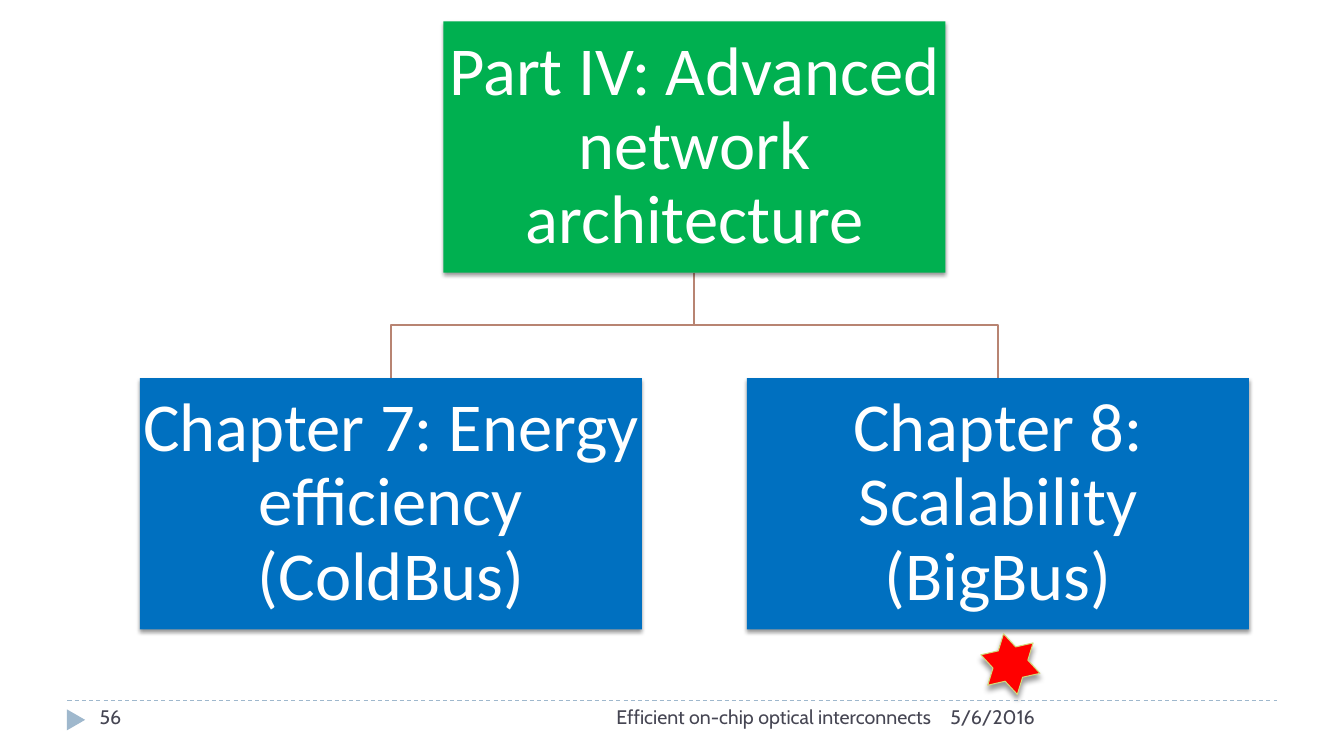
from dataclasses import dataclass

from lxml import etree
from pptx import Presentation
from pptx import util as u
from pptx.dml.color import RGBColor
from pptx.enum import dml, shapes, text
from pptx.oxml import ns
from pptx.shapes.autoshape import Shape
from pptx.slide import Slide


@dataclass(frozen=True)
class Theme:
    root_fill: str = "00B050"
    chapter_fill: str = "0070C0"
    branch: str = "B88472"
    accent: str = "9FB8CD"
    star: str = "FF0000"
    star_edge: str = "D2DA7A"
    box_text: str = "FFFFFF"
    footer_text: str = "464653"
    box_font: str = "Calibri"
    footer_font: str = "Cabin"
    box_size: int = 49
    footer_size: int = 14


@dataclass(frozen=True)
class Node:
    label: str
    center: float
    top: float
    fill: str


@dataclass(frozen=True)
class FooterItem:
    label: str
    left: float
    width: float
    align: text.PP_ALIGN


THEME = Theme()

# Tree geometry, in centimetres
BOX_W, BOX_H = 12.65, 6.33
ROOT_X, ROOT_TOP = 17.5, 0.54
LEVEL_GAP = 2.66
HALF_PITCH = 7.65
CHILD_TOP = ROOT_TOP + BOX_H + LEVEL_GAP

ROOT = Node("Part IV: Advanced network architecture", ROOT_X, ROOT_TOP, THEME.root_fill)
CHAPTERS = [
    Node("Chapter 7: Energy efficiency (ColdBus)", ROOT_X - HALF_PITCH, CHILD_TOP,
         THEME.chapter_fill),
    Node("Chapter 8: Scalability (BigBus)", ROOT_X + HALF_PITCH, CHILD_TOP,
         THEME.chapter_fill),
]

FOOTER_TOP, FOOTER_H = 17.65, 1.02
FOOTER = [
    FooterItem("56", 2.26, 7.34, text.PP_ALIGN.LEFT),
    FooterItem("Efficient on-chip optical interconnects", 10.74, 12.98, text.PP_ALIGN.RIGHT),
    FooterItem("5/6/2016", 23.7, 8.48, text.PP_ALIGN.LEFT),
]


def rgb(color: str) -> RGBColor:
    return RGBColor.from_string(color)


def add_shadow(sp: Shape, blur: float, distance: float) -> None:
    effects = sp._element.spPr.find(ns.qn("a:effectLst"))
    shadow = etree.SubElement(effects, ns.qn("a:outerShdw"), {
        "blurRad": str(u.Pt(blur)), "dist": str(u.Pt(distance)),
        "dir": "5400000", "rotWithShape": "0"})
    color = etree.SubElement(shadow, ns.qn("a:srgbClr"), val="000000")
    etree.SubElement(color, ns.qn("a:alpha"), val="40000")


def add_preset(slide: Slide, kind: shapes.MSO_SHAPE, left: float, top: float,
               width: float, height: float, fill: str, rotation: float = 0) -> Shape:
    sp = slide.shapes.add_shape(kind, u.Cm(left), u.Cm(top), u.Cm(width), u.Cm(height))
    sp.rotation = rotation
    sp.shadow.inherit = False
    sp.fill.solid()
    sp.fill.fore_color.rgb = rgb(fill)
    sp.line.fill.background()
    return sp


def write(sp: Shape, label: str, font: str, size: int, color: str,
          frame: dict[str, object], paragraph: dict[str, object]) -> None:
    tf = sp.text_frame
    p = tf.paragraphs[0]
    r = p.add_run()
    r.text = label
    r.font.color.rgb = rgb(color)
    formats = [(tf, frame), (p, paragraph), (r.font, {"name": font, "size": u.Pt(size)})]
    for target, values in formats:
        for name, value in values.items():
            setattr(target, name, value)


def add_branch(slide: Slide, parent: Node, child: Node) -> None:
    start = parent.top + BOX_H
    middle = (start + child.top) / 2
    points = [(parent.center, middle), (child.center, middle), (child.center, child.top)]
    builder = slide.shapes.build_freeform(u.Cm(parent.center), u.Cm(start))
    builder.add_line_segments([(u.Cm(x), u.Cm(y)) for x, y in points], close=False)
    sp = builder.convert_to_shape()
    sp.shadow.inherit = False
    sp.fill.background()
    sp.line.color.rgb = rgb(THEME.branch)
    sp.line.width = u.Pt(1.5)


def add_node(slide: Slide, node: Node) -> None:
    sp = add_preset(slide, shapes.MSO_SHAPE.RECTANGLE, node.center - BOX_W / 2,
                    node.top, BOX_W, BOX_H, node.fill)
    add_shadow(sp, 3, 2)
    margins = {f"margin_{side}": u.Cm(0.07) for side in ("left", "right", "top", "bottom")}
    write(sp, node.label, THEME.box_font, THEME.box_size, THEME.box_text,
          {"word_wrap": True, "vertical_anchor": text.MSO_ANCHOR.MIDDLE, **margins},
          {"alignment": text.PP_ALIGN.CENTER, "line_spacing": 0.9})


def add_footer(slide: Slide) -> None:
    # Dashed rule and page marker
    rule = slide.shapes.add_connector(shapes.MSO_CONNECTOR.STRAIGHT, u.Cm(1.7),
                                      u.Cm(FOOTER_TOP), u.Cm(32.18), u.Cm(FOOTER_TOP))
    rule.line.color.rgb = rgb(THEME.accent)
    rule.line.width = u.Pt(0.75)
    rule.line.dash_style = dml.MSO_LINE.DASH
    etree.SubElement(rule._element.spPr, ns.qn("a:effectLst"))
    add_preset(slide, shapes.MSO_SHAPE.ISOSCELES_TRIANGLE, 1.65, 17.91, 0.53, 0.46,
               THEME.accent, 90)

    # Page number, talk title and date
    for item in FOOTER:
        sp = slide.shapes.add_textbox(u.Cm(item.left), u.Cm(FOOTER_TOP),
                                      u.Cm(item.width), u.Cm(FOOTER_H))
        write(sp, item.label, THEME.footer_font, THEME.footer_size, THEME.footer_text,
              {"word_wrap": True}, {"alignment": item.align})


def main() -> None:
    prs = Presentation()
    prs.slide_width, prs.slide_height = u.Cm(33.87), u.Cm(19.05)
    slide = prs.slides.add_slide(prs.slide_layouts[6])
    add_footer(slide)

    # Chapter tree
    for chapter in CHAPTERS:
        add_branch(slide, ROOT, chapter)
    for node in [ROOT, *CHAPTERS]:
        add_node(slide, node)

    # Star under the current chapter
    star = add_preset(slide, shapes.MSO_SHAPE.STAR_6_POINT, 24.79, 15.95, 1.35, 1.57,
                      THEME.star, 347.2)
    star.line.color.rgb = rgb(THEME.star_edge)
    star.line.width = u.Pt(0.75)
    add_shadow(star, 4, 3.4)

    prs.save("out.pptx")


if __name__ == "__main__":
    main()
